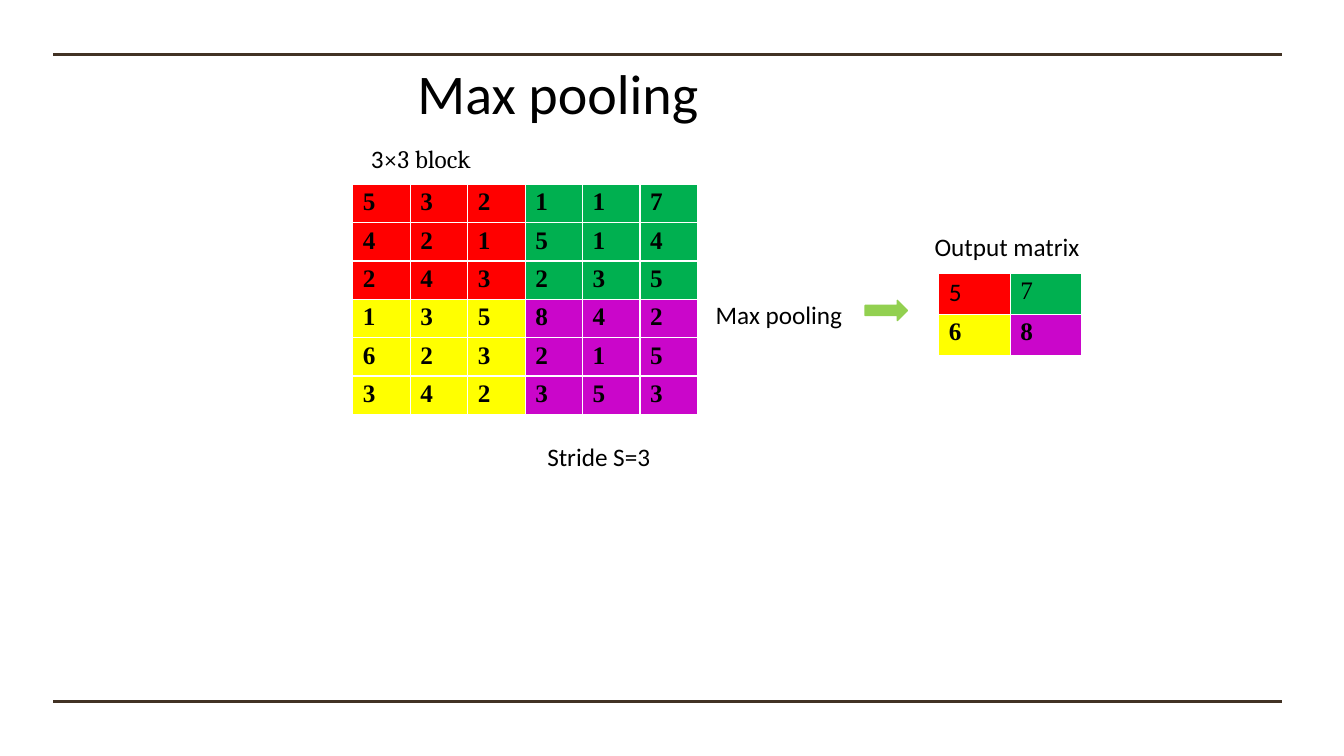
from dataclasses import dataclass

from lxml.etree import SubElement
from pptx import Presentation
from pptx.dml.color import RGBColor as RGB
from pptx.enum.shapes import MSO_CONNECTOR as LINK, MSO_SHAPE as SHAPE
from pptx.enum.text import MSO_ANCHOR as ANCHOR, MSO_AUTO_SIZE as FIT, PP_ALIGN as ALIGN
from pptx.oxml import parse_xml
from pptx.oxml.ns import nsdecls, qn
from pptx.util import Inches, Pt


@dataclass(frozen=True)
class Theme:
    ink: str = "000000"
    rule: str = "413224"
    edge: str = "FFFFFF"
    arrow: str = "92D050"
    blocks: tuple = (("FF0000", "00B050"), ("FFFF00", "CA06CA"))
    sans: str = "Calibri"
    math: str = "Cambria"
    serif: str = "Times New Roman"
    head: int = 40
    body: int = 18


THEME = Theme()
STEP = 3  # block size and stride
INPUT = [
    [5, 3, 2, 1, 1, 7],
    [4, 2, 1, 5, 1, 4],
    [2, 4, 3, 2, 3, 5],
    [1, 3, 5, 8, 4, 2],
    [6, 2, 3, 2, 1, 5],
    [3, 4, 2, 3, 5, 3],
]


def pool(grid, step):
    """Return the largest value of each step by step block."""
    starts = range(0, len(grid), step)
    return [[max(max(row[c:c + step]) for row in grid[r:r + step])
             for c in starts] for r in starts]


def style(run, font, size=THEME.body, bold=False):
    run.font.name, run.font.size, run.font.bold = font, Pt(size), bold
    run.font.color.rgb = RGB.from_string(THEME.ink)


def place(shape, left, top, width, height):
    shape.left, shape.top = Inches(left), Inches(top)
    shape.width, shape.height = Inches(width), Inches(height)


def add_rule(slide, top):
    line = slide.shapes.add_connector(
        LINK.STRAIGHT, Inches(0.53), Inches(top), Inches(12.72), Inches(top))
    line.line.color.rgb = RGB.from_string(THEME.rule)
    line.line.width = Pt(2.25)
    SubElement(line._element.spPr, qn("a:effectLst"))


def set_title(slide, text):
    title = slide.shapes.title
    place(title, 3.92, 0.53, 6.81, 0.77)
    frame = title.text_frame
    frame.text = text
    frame.auto_size, frame.vertical_anchor = FIT.NONE, ANCHOR.TOP
    frame.margin_left = Inches(0.22)
    frame.paragraphs[0].alignment = ALIGN.LEFT
    style(frame.paragraphs[0].runs[0], THEME.sans, THEME.head)


def add_label(slide, box, *parts):
    """Add a text box; each part is a text and its font."""
    frame = slide.shapes.add_textbox(*map(Inches, box)).text_frame
    frame.word_wrap = True
    for text, font in parts:
        run = frame.paragraphs[0].add_run()
        run.text = text
        style(run, font)


def set_edges(cell):
    props = cell._tc.get_or_add_tcPr()
    for spot, side in enumerate(("lnL", "lnR", "lnT", "lnB")):
        props.insert(spot, parse_xml(
            f'<a:{side} {nsdecls("a")} w="12700"><a:solidFill>'
            f'<a:srgbClr val="{THEME.edge}"/></a:solidFill></a:{side}>'))


def add_grid(slide, left, top, width, height, values, look):
    """Add a table in four colour blocks; look gives a cell's font and weight."""
    count = len(values)
    half = count // 2
    table = slide.shapes.add_table(
        count, count, Inches(left), Inches(top),
        Inches(width * count), Inches(height * count)).table
    for line in range(count):
        table.columns[line].width = Inches(width)
        table.rows[line].height = Inches(height)
    for r, row in enumerate(values):
        for c, value in enumerate(row):
            cell = table.cell(r, c)
            cell.text = str(value)
            cell.margin_top = cell.margin_bottom = Inches(0.04)
            cell.fill.solid()
            cell.fill.fore_color.rgb = RGB.from_string(
                THEME.blocks[r // half][c // half])
            set_edges(cell)
            font, bold = look(r, c)
            style(cell.text_frame.paragraphs[0].runs[0], font, bold=bold)


def add_arrow(slide, box):
    arrow = slide.shapes.add_shape(SHAPE.RIGHT_ARROW, *map(Inches, box))
    arrow.shadow.inherit = False
    arrow.fill.solid()
    arrow.fill.fore_color.rgb = RGB.from_string(THEME.arrow)
    arrow.line.color.rgb = RGB.from_string(THEME.arrow)
    arrow.line.width = Pt(1)


def main():
    deck = Presentation()
    deck.slide_width, deck.slide_height = Inches(13.33), Inches(7.5)
    slide = deck.slides.add_slide(deck.slide_layouts[5])

    # Frame and title
    for top in (0.54, 6.96):
        add_rule(slide, top)
    set_title(slide, "Max pooling")

    # Input matrix
    add_label(slide, (3.58, 1.37, 2.58, 0.4),
              ("3", THEME.sans), ("×3 block", THEME.math))
    add_grid(slide, 3.5, 1.83, 0.57, 0.38, INPUT,
             lambda r, c: (THEME.serif, True))
    add_label(slide, (5.33, 4.33, 1.33, 0.42), ("Stride S=3", THEME.sans))

    # Pooling step
    add_label(slide, (7, 2.92, 2.33, 0.4), ("Max pooling", THEME.sans))
    add_arrow(slide, (8.58, 2.98, 0.42, 0.2))

    # Output matrix
    add_label(slide, (9.17, 2.25, 2.08, 0.4), ("Output matrix", THEME.sans))
    add_grid(slide, 9.31, 2.71, 0.71, 0.41, pool(INPUT, STEP),
             lambda r, c: (THEME.serif if r or c else THEME.sans, r == 1))

    deck.save("out.pptx")


if __name__ == "__main__":
    main()
